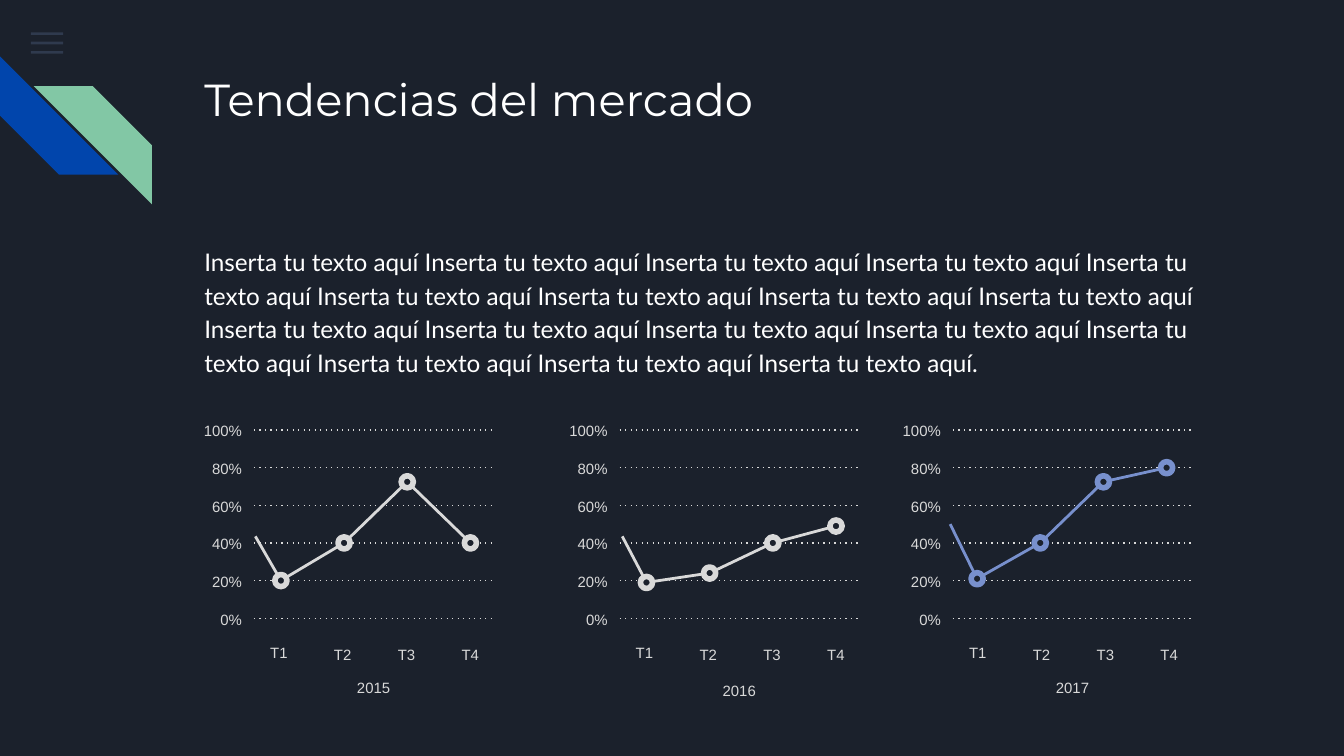
from itertools import pairwise
from typing import NamedTuple

from lxml.etree import SubElement
from pptx import Presentation
from pptx.dml.color import RGBColor
from pptx.enum.dml import MSO_LINE
from pptx.enum.shapes import MSO_CONNECTOR, MSO_SHAPE
from pptx.enum.text import MSO_ANCHOR, MSO_AUTO_SIZE, PP_ALIGN
from pptx.oxml.ns import qn
from pptx.shapes.autoshape import Shape
from pptx.shapes.connector import Connector
from pptx.slide import Slide
from pptx.util import Inches, Pt

SLIDE_WIDTH = 10
SLIDE_HEIGHT = SLIDE_WIDTH * 9 / 16
NAVY, WHITE, GRAY, PERIWINKLE = "1B212C", "FFFFFF", "D9D9D9", "7890CD"
BLUE, GREEN, SLATE = "0145AC", "82C7A5", "55688B"

# Shared grid of the three charts
GRID_WIDTH, GRID_BOTTOM, ROW = 1.8, 4.6, 0.28
ROW_PERCENT = 20
ROWS = 5
LABEL_PITCH, POINT_PITCH = 0.475, 0.47
QUARTERS = ("T1", "T2", "T3", "T4")
MARKER = 0.09
LABEL_HEIGHT = 0.21


class Box(NamedTuple):
    left: float
    top: float
    width: float
    height: float


class Point(NamedTuple):
    x: float
    y: float


class YearChart(NamedTuple):
    year: str
    left: float
    first_point: float
    start_offset: float
    start_value: float
    values: tuple[float, ...]
    color: str
    year_top: float


CHARTS = (
    YearChart("2015", 1.89, 0.2, 0.01, 43.5, (20, 40, 72.5, 40), GRAY, 4.93),
    YearChart("2016", 4.61, 0.2, 0.02, 43.5, (19, 24, 40, 49), GRAY, 4.95),
    YearChart("2017", 7.09, 0.18, -0.02, 50, (21, 40, 72.5, 80), PERIWINKLE, 4.93),
)


def rgb(color: str) -> RGBColor:
    return RGBColor.from_string(color)


def inches(box: Box | Point) -> tuple:
    return tuple(Inches(length) for length in box)


def height_of(percent: float) -> float:
    """Vertical place on the slide of a percentage."""
    return GRID_BOTTOM - percent / ROW_PERCENT * ROW


def add_shape(shapes, kind: MSO_SHAPE, box: Box, color: str) -> Shape:
    shape = shapes.add_shape(kind, *inches(box))
    shape.shadow.inherit = False
    shape.fill.solid()
    shape.fill.fore_color.rgb = rgb(color)
    shape.line.fill.background()
    return shape


def add_line(shapes, start: Point, end: Point, color: str, width: float) -> Connector:
    line = shapes.add_connector(MSO_CONNECTOR.STRAIGHT, *inches(start), *inches(end))
    line.line.color.rgb = rgb(color)
    line.line.width = Pt(width)
    SubElement(line._element.spPr, qn("a:effectLst"))
    return line


def write(shape: Shape, text: str, font: str, size: float, color: str,
          alignment: PP_ALIGN = PP_ALIGN.LEFT) -> None:
    frame = shape.text_frame
    frame.word_wrap = True
    frame.auto_size = MSO_AUTO_SIZE.NONE
    frame.vertical_anchor = MSO_ANCHOR.TOP
    frame.margin_left = frame.margin_right = Inches(0.1)
    frame.margin_top = frame.margin_bottom = Inches(0.1)
    frame.text = text
    paragraph = frame.paragraphs[0]
    properties = paragraph._p.get_or_add_pPr()
    properties.set("marL", "0")
    properties.set("indent", "0")
    SubElement(properties, qn("a:buNone"))
    paragraph.alignment = alignment
    paragraph.font.name = font
    paragraph.font.size = Pt(size)
    paragraph.font.color.rgb = rgb(color)


def space_like_body(shape: Shape) -> None:
    paragraph = shape.text_frame.paragraphs[0]
    paragraph.line_spacing = 1.15
    paragraph.space_before = Pt(0)
    paragraph.space_after = Pt(16)


def add_label(shapes, text: str, box: Box, alignment: PP_ALIGN) -> Shape:
    label = shapes.add_textbox(*inches(box))
    write(label, text, "Arial", 8, GRAY, alignment)
    return label


def add_decoration(slide: Slide) -> None:
    for row in range(3):
        bar = add_shape(slide.shapes, MSO_SHAPE.RECTANGLE,
                        Box(0.23, 0.24 + row * 0.07, 0.24, 0.02), SLATE)
        bar_color = bar._element.spPr.find(f".//{qn('a:srgbClr')}")
        SubElement(bar_color, qn("a:alpha"), val="36000")
    stripes = slide.shapes.add_group_shape().shapes
    blue = add_shape(stripes, MSO_SHAPE.DIAGONAL_STRIPE, Box(0, 0.42, 0.88, 0.88), BLUE)
    blue.rotation = 270
    green = add_shape(stripes, MSO_SHAPE.DIAGONAL_STRIPE, Box(0.25, 0.64, 0.88, 0.88), GREEN)
    green._element.spPr.xfrm.set("flipH", "1")


def add_headings(slide: Slide) -> None:
    title, body = slide.placeholders[0], slide.placeholders[1]
    for placeholder, box in ((title, Box(1.42, 0.43, 7.7, 1)),
                             (body, Box(1.42, 1.71, 7.7, 1.21))):
        (placeholder.left, placeholder.top,
         placeholder.width, placeholder.height) = inches(box)
    write(title, "Tendencias del mercado", "Montserrat", 24, WHITE)
    write(body, " ".join(["Inserta tu texto aquí"] * 17) + ".", "Lato", 13, WHITE)
    space_like_body(body)


def add_year_chart(slide: Slide, chart: YearChart) -> None:
    shapes = slide.shapes.add_group_shape().shapes
    for row in range(ROWS + 1):
        percent = row * ROW_PERCENT
        y = height_of(percent)
        add_label(shapes, f"{percent}%",
                  Box(chart.left - 0.48, y - 0.16, 0.49, LABEL_HEIGHT), PP_ALIGN.RIGHT)
        gridline = add_line(shapes, Point(chart.left, y),
                            Point(chart.left + GRID_WIDTH, y), GRAY, 0.75)
        gridline.line.dash_style = MSO_LINE.ROUND_DOT
        gridline._element.spPr.find(f".//{qn('a:prstDash')}").set("val", "dot")

    for column, quarter in enumerate(QUARTERS):
        top = 4.7 if column else 4.69
        add_label(shapes, quarter, Box(chart.left + column * LABEL_PITCH, top,
                                       0.37, LABEL_HEIGHT), PP_ALIGN.CENTER)
    year = add_label(shapes, chart.year,
                     Box(chart.left + 0.53, chart.year_top, 0.72, 0.35), PP_ALIGN.CENTER)
    space_like_body(year)

    start = Point(chart.left + chart.start_offset, height_of(chart.start_value))
    points = [Point(chart.left + chart.first_point + column * POINT_PITCH, height_of(value))
              for column, value in enumerate(chart.values)]
    for first, second in pairwise([start, *points]):
        add_line(shapes, first, second, chart.color, 1.5)
    for point in points:
        marker = add_shape(shapes, MSO_SHAPE.OVAL,
                           Box(point.x - MARKER / 2, point.y - MARKER / 2, MARKER, MARKER), NAVY)
        marker.line.color.rgb = rgb(chart.color)
        marker.line.width = Pt(3)


def main() -> None:
    presentation = Presentation()
    presentation.slide_width = Inches(SLIDE_WIDTH)
    presentation.slide_height = Inches(SLIDE_HEIGHT)
    slide = presentation.slides.add_slide(presentation.slide_layouts[1])
    slide.background.fill.solid()
    slide.background.fill.fore_color.rgb = rgb(NAVY)
    add_decoration(slide)
    add_headings(slide)
    for chart in CHARTS:
        add_year_chart(slide, chart)
    presentation.save("out.pptx")


if __name__ == "__main__":
    main()
